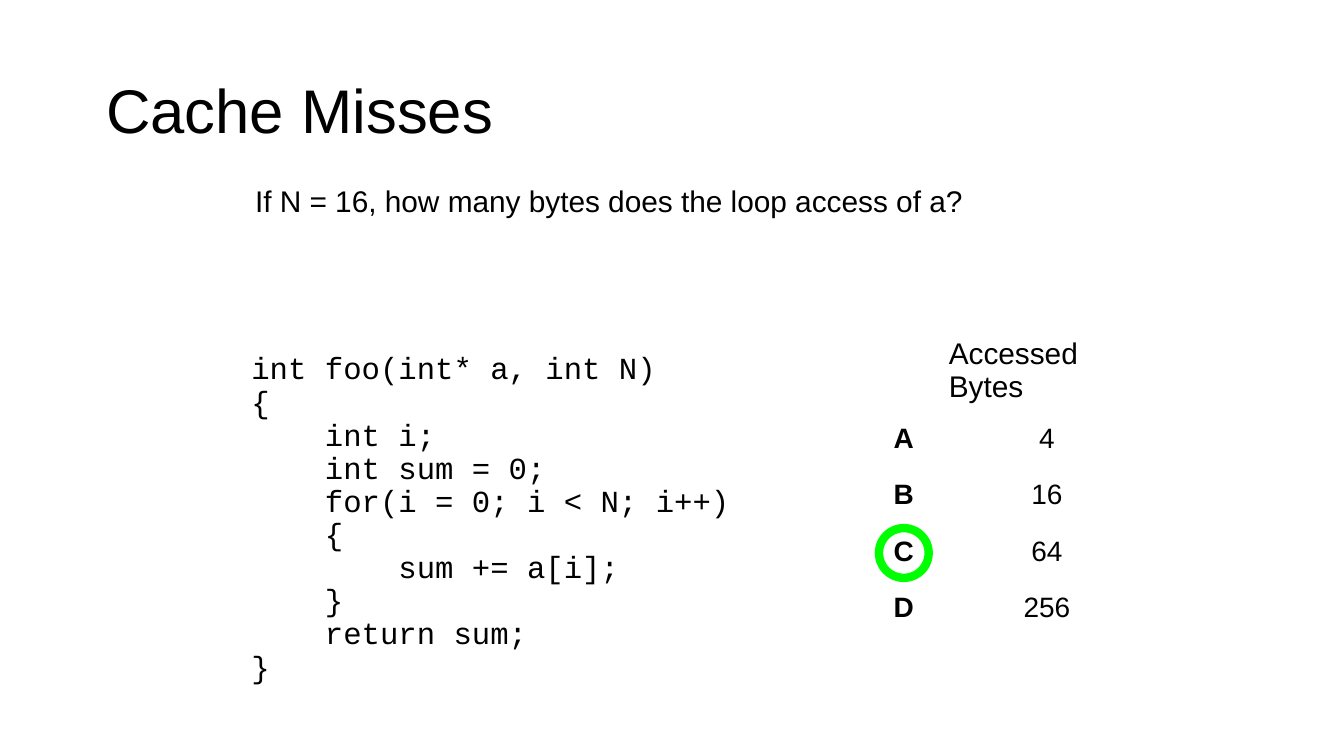
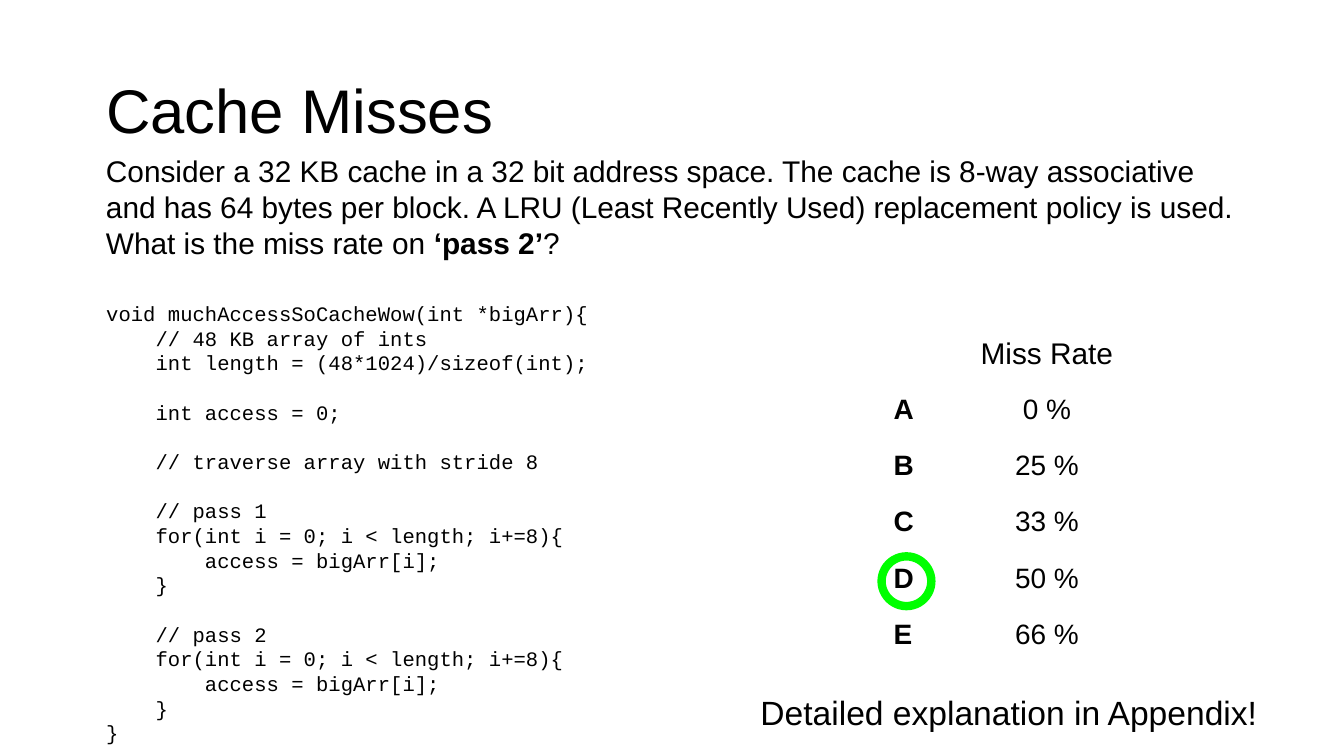
"""Build two quiz slides about cache misses."""
from pptx import Presentation
from pptx import util as u
from pptx.dml.color import RGBColor
from pptx.enum import shapes, text
from pptx.oxml.xmlchemy import OxmlElement

PX = 9144
SLIDE_WIDTH = 1000 * PX
SLIDE_HEIGHT = SLIDE_WIDTH * 9 // 16
BLACK = RGBColor(0, 0, 0)
GREEN = RGBColor(0, 255, 0)
SANS, MONO = "Arial", "Courier New"
LEFT, CENTER = text.PP_ALIGN.LEFT, text.PP_ALIGN.CENTER

TITLE_BOX = (69, 30, 862, 109)
TABLE_LEFT, TABLE_TOP = 656, 246
COLUMN_WIDTHS = (41, 164)
ROW_HEIGHT = 42
RING_SIZE = 37

QUIZZES = [
    {
        "title": "Cache Misses",
        "notes": [
            ((180, 131, 548, 36), 16,
             [[("If N = 16, how many bytes does the loop access of a?", False)]]),
        ],
        "code_box": (177, 258, 414, 248),
        "code_size": 16.4,
        "code_spacing": 0.9,
        "code_gap": 0,
        "code": ["""int foo(int* a, int N)
{
    int i;
    int sum = 0;
    for(i = 0; i < N; i++)
    {
        sum += a[i];
    }
    return sum;
}"""],
        "heading": ("Accessed Bytes", LEFT, 64),
        "answers": ["4", "16", "64", "256"],
        "ring": (654, 393),
    },
    {
        "title": "Cache Misses",
        "notes": [
            ((69, 109, 862, 91), 16, [
                [("Consider a 32 KB cache in a 32 bit address space. The cache is 8-way "
                  "associative and has 64 bytes per block. A LRU (Least Recently Used) "
                  "replacement policy is used.", False)],
                [("What is the miss rate on ", False), ("‘pass 2’", True), ("?", False)],
            ]),
            ((556, 510, 406, 40), 18, [[("Detailed explanation in Appendix!", False)]]),
        ],
        "code_box": (69, 219, 500, 343),
        "code_size": 11,
        "code_spacing": 1.0,
        "code_gap": 13.2,
        "code": [
            """void muchAccessSoCacheWow(int *bigArr){
    // 48 KB array of ints
    int length = (48*1024)/sizeof(int);""",
            "    int access = 0;",
            "    // traverse array with stride 8",
            """    // pass 1
    for(int i = 0; i < length; i+=8){
        access = bigArr[i];
    }""",
            """    // pass 2
    for(int i = 0; i < length; i+=8){
        access = bigArr[i];
    }
}""",
        ],
        "heading": ("Miss Rate", CENTER, ROW_HEIGHT),
        "answers": ["0 %", "25 %", "33 %", "50 %", "66 %"],
        "ring": (656, 414),
    },
]


def px(*lengths):
    return [length * PX for length in lengths]


def place(shape, box):
    shape.left, shape.top, shape.width, shape.height = px(*box)


def fill_paragraphs(frame, paragraphs, size, font=SANS, align=LEFT, spacing=1.0):
    for index, runs in enumerate(paragraphs):
        paragraph = frame.add_paragraph() if index else frame.paragraphs[0]
        paragraph.alignment = align
        paragraph.line_spacing = spacing
        paragraph.space_before = u.Pt(0)
        for words, bold in runs:
            run = paragraph.add_run()
            run.text = words
            run.font.name = font
            run.font.size = u.Pt(size)
            run.font.bold = bold
            run.font.color.rgb = BLACK


def write(frame, paragraphs, size, font=SANS, spacing=1.0):
    frame.word_wrap = True
    frame.auto_size = text.MSO_AUTO_SIZE.NONE
    fill_paragraphs(frame, paragraphs, size, font, spacing=spacing)


def add_title(slide, words):
    title = slide.shapes.title
    place(title, TITLE_BOX)
    title.text_frame.vertical_anchor = text.MSO_ANCHOR.MIDDLE
    write(title.text_frame, [[(words, False)]], 33, spacing=0.9)


def add_code(slide, quiz):
    body = slide.placeholders[1]
    place(body, quiz["code_box"])
    blocks = [block.split("\n") for block in quiz["code"]]
    lines = [[(line, False)] for block in blocks for line in block]
    write(body.text_frame, lines, quiz["code_size"], MONO, quiz["code_spacing"])
    paragraphs = body.text_frame.paragraphs
    for paragraph in paragraphs:
        properties = paragraph._p.get_or_add_pPr()
        properties.set("marL", "0")
        properties.set("indent", "0")
        properties.append(OxmlElement("a:buNone"))
    start = 0
    for block in blocks[:-1]:
        start += len(block)
        paragraphs[start].space_before = u.Pt(quiz["code_gap"])


def add_answers(slide, heading, answers):
    words, heading_align, heading_height = heading
    heights = [heading_height] + [ROW_HEIGHT] * len(answers)
    box = px(TABLE_LEFT, TABLE_TOP, sum(COLUMN_WIDTHS), sum(heights))
    table = slide.shapes.add_table(len(heights), len(COLUMN_WIDTHS), *box).table
    table.first_row = table.horz_banding = False
    for column, width in zip(table.columns, COLUMN_WIDTHS):
        column.width = width * PX
    for row, height in zip(table.rows, heights):
        row.height = height * PX
    for cell in table.iter_cells():
        cell.fill.background()
        cell.margin_left = cell.margin_right = 9 * PX
        cell.margin_top = cell.margin_bottom = 5 * PX
    fill_paragraphs(table.cell(0, 1).text_frame, [[(words, False)]], 16, align=heading_align)
    for row, (letter, answer) in enumerate(zip("ABCDE", answers), 1):
        fill_paragraphs(table.cell(row, 0).text_frame, [[(letter, True)]], 15)
        fill_paragraphs(table.cell(row, 1).text_frame, [[(answer, False)]], 15, align=CENTER)


def add_ring(slide, left, top):
    ring = slide.shapes.add_shape(shapes.MSO_SHAPE.OVAL, *px(left, top, RING_SIZE, RING_SIZE))
    ring.shadow.inherit = False
    ring.fill.background()
    ring.line.color.rgb = GREEN
    ring.line.width = u.Pt(4.5)


def main():
    presentation = Presentation()
    presentation.slide_width = SLIDE_WIDTH
    presentation.slide_height = SLIDE_HEIGHT
    for quiz in QUIZZES:
        slide = presentation.slides.add_slide(presentation.slide_layouts[1])
        add_title(slide, quiz["title"])
        add_code(slide, quiz)
        add_answers(slide, quiz["heading"], quiz["answers"])
        for box, size, paragraphs in quiz["notes"]:
            note = slide.shapes.add_textbox(*px(*box))
            write(note.text_frame, paragraphs, size)
        add_ring(slide, *quiz["ring"])
    presentation.save("out.pptx")


if __name__ == "__main__":
    main()
